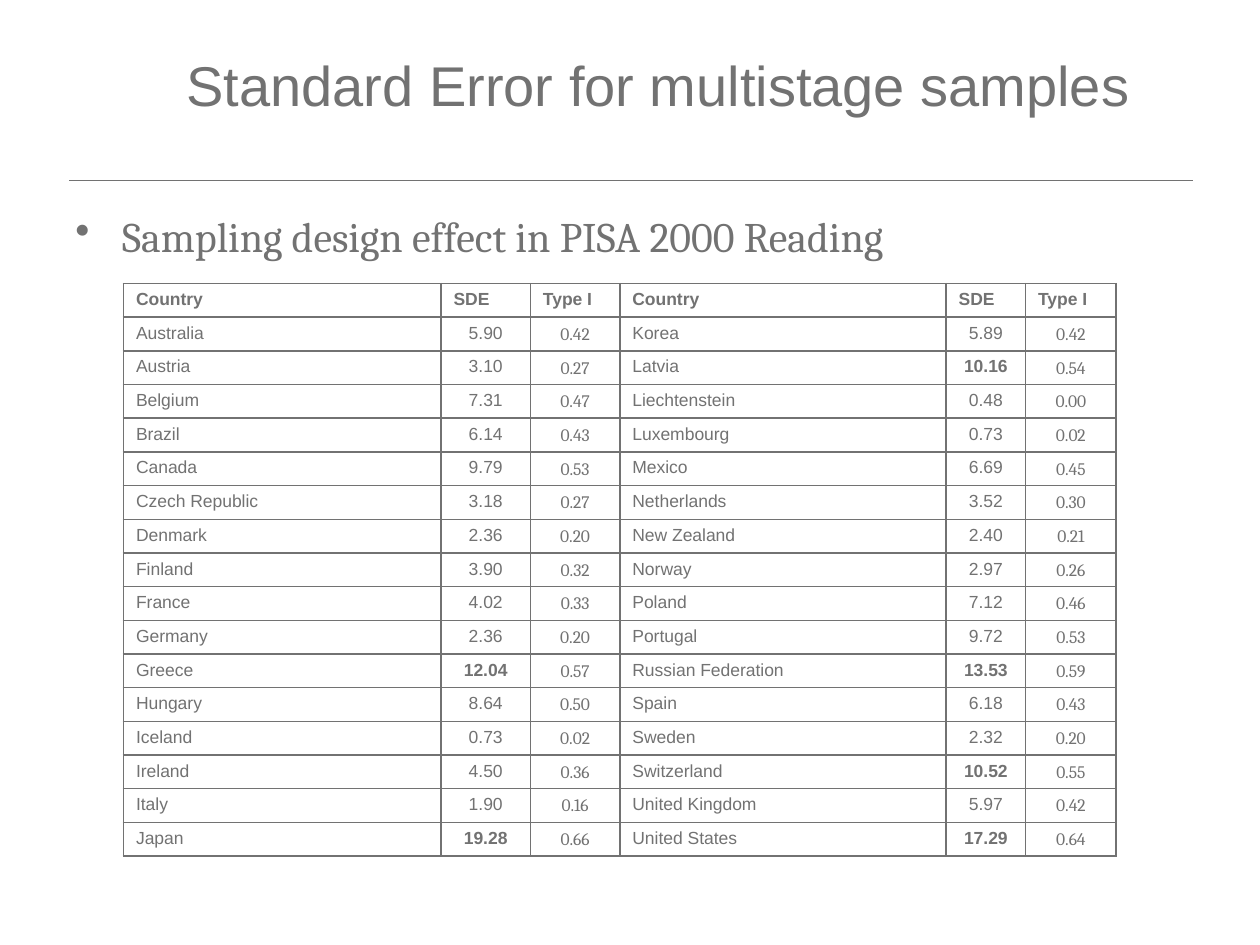
from typing import NamedTuple

from lxml import etree
from pptx import Presentation
from pptx.dml.color import RGBColor
from pptx.enum.shapes import MSO_CONNECTOR
from pptx.enum.text import MSO_ANCHOR, MSO_AUTO_SIZE, PP_ALIGN
from pptx.oxml.ns import qn
from pptx.util import Inches, Pt

LEFT, CENTER = PP_ALIGN.LEFT, PP_ALIGN.CENTER
TOP, MIDDLE = MSO_ANCHOR.TOP, MSO_ANCHOR.MIDDLE
STRAIGHT = MSO_CONNECTOR.STRAIGHT
NO_AUTOFIT = MSO_AUTO_SIZE.NONE

GREY = "727272"
SANS, SERIF = "Arial", "Cambria"
TITLE_ONLY_LAYOUT = 5
LARGE_EFFECT = 10  # design effects above this are bold


class Effect(NamedTuple):
    country: str
    design_effect: float
    type_one: float


HEADERS = ("Country", "SDE", "Type I")
COLUMN_WIDTHS = (2.52, 0.71, 0.71, 2.59, 0.63, 0.72)
TABLE_HEIGHT = 4.55

LEFT_EFFECTS = [
    Effect("Australia", 5.90, 0.42),
    Effect("Austria", 3.10, 0.27),
    Effect("Belgium", 7.31, 0.47),
    Effect("Brazil", 6.14, 0.43),
    Effect("Canada", 9.79, 0.53),
    Effect("Czech Republic", 3.18, 0.27),
    Effect("Denmark", 2.36, 0.20),
    Effect("Finland", 3.90, 0.32),
    Effect("France", 4.02, 0.33),
    Effect("Germany", 2.36, 0.20),
    Effect("Greece", 12.04, 0.57),
    Effect("Hungary", 8.64, 0.50),
    Effect("Iceland", 0.73, 0.02),
    Effect("Ireland", 4.50, 0.36),
    Effect("Italy", 1.90, 0.16),
    Effect("Japan", 19.28, 0.66),
]
RIGHT_EFFECTS = [
    Effect("Korea", 5.89, 0.42),
    Effect("Latvia", 10.16, 0.54),
    Effect("Liechtenstein", 0.48, 0.00),
    Effect("Luxembourg", 0.73, 0.02),
    Effect("Mexico", 6.69, 0.45),
    Effect("Netherlands", 3.52, 0.30),
    Effect("New Zealand", 2.40, 0.21),
    Effect("Norway", 2.97, 0.26),
    Effect("Poland", 7.12, 0.46),
    Effect("Portugal", 9.72, 0.53),
    Effect("Russian Federation", 13.53, 0.59),
    Effect("Spain", 6.18, 0.43),
    Effect("Sweden", 2.32, 0.20),
    Effect("Switzerland", 10.52, 0.55),
    Effect("United Kingdom", 5.97, 0.42),
    Effect("United States", 17.29, 0.64),
]


def color(value: str) -> RGBColor:
    return RGBColor.from_string(value)


def write(text_frame, text: str, size: float, font: str, bold: bool = False, align=LEFT):
    """Put one formatted paragraph in a text frame and return it."""
    paragraph = text_frame.paragraphs[0]
    paragraph.text = text
    paragraph.alignment = align
    paragraph.font.size = Pt(size)
    paragraph.font.name = font
    paragraph.font.bold = bold
    paragraph.font.color.rgb = color(GREY)
    return paragraph


def add_title(slide, text: str) -> None:
    title = slide.shapes.title
    title.left, title.top = Inches(1.38), Inches(0.27)
    title.width, title.height = Inches(7.98), Inches(0.8)
    title.text_frame.vertical_anchor = MIDDLE
    title.text_frame.auto_size = NO_AUTOFIT
    write(title.text_frame, text, 32, SANS)


def add_rule(slide) -> None:
    rule = slide.shapes.add_connector(
        STRAIGHT, Inches(0.55), Inches(1.43), Inches(9.47), Inches(1.43))
    rule.line.color.rgb = color(GREY)
    rule.line.width = Pt(0.5)
    etree.SubElement(rule._element.spPr, qn("a:effectLst"))


def add_bullet_text(slide, text: str) -> None:
    box = slide.shapes.add_textbox(Inches(0.5), Inches(1.62), Inches(9.22), Inches(0.63))
    box.text_frame.word_wrap = True
    paragraph = write(box.text_frame, text, 24, SERIF)
    paragraph.space_before = Pt(7.6)
    properties = paragraph._p.get_or_add_pPr()
    properties.set("marL", str(Inches(0.37)))
    properties.set("indent", str(-Inches(0.37)))
    bullet = etree.Element(qn("a:buChar"), char="•")
    properties.find(qn("a:spcBef")).addnext(bullet)


def style_cell(cell) -> None:
    """Clear the fill and draw thin borders on all four sides."""
    properties = cell._tc.get_or_add_tcPr()
    for side in ("lnL", "lnR", "lnT", "lnB"):
        line = etree.SubElement(properties, qn(f"a:{side}"), w=str(Pt(1)))
        fill = etree.SubElement(line, qn("a:solidFill"))
        etree.SubElement(fill, qn("a:srgbClr"), val=GREY)
    cell.fill.background()


def fill_effect(table, row: int, first_column: int, effect: Effect) -> None:
    country, design_effect, type_one = (
        table.cell(row, first_column + offset) for offset in range(len(HEADERS)))
    write(country.text_frame, effect.country, 10, SANS)
    write(design_effect.text_frame, f"{effect.design_effect:.2f}", 10, SANS,
          effect.design_effect > LARGE_EFFECT, CENTER)
    write(type_one.text_frame, f"{effect.type_one:.2f}", 10, SERIF, align=CENTER)
    type_one.vertical_anchor = MIDDLE
    type_one.margin_left = type_one.margin_right = type_one.margin_top = Inches(0.01)
    type_one.margin_bottom = 0


def add_effect_table(slide) -> None:
    row_count = len(LEFT_EFFECTS) + 1
    table = slide.shapes.add_table(
        row_count, len(COLUMN_WIDTHS), Inches(0.98), Inches(2.25),
        Inches(sum(COLUMN_WIDTHS)), Inches(TABLE_HEIGHT)).table
    table.horz_banding = False
    table.first_row = False
    for column, width in zip(table.columns, COLUMN_WIDTHS):
        column.width = Inches(width)
    for row in table.rows:
        row.height = Inches(TABLE_HEIGHT / row_count)
    for cell in table.iter_cells():
        style_cell(cell)

    # Two side-by-side halves with the same three columns
    for half, effects in enumerate((LEFT_EFFECTS, RIGHT_EFFECTS)):
        first_column = half * len(HEADERS)
        for offset, header in enumerate(HEADERS):
            write(table.cell(0, first_column + offset).text_frame, header, 10, SANS, True)
        for row, effect in enumerate(effects, start=1):
            fill_effect(table, row, first_column, effect)


def main() -> None:
    presentation = Presentation()
    presentation.slide_width = Inches(10)
    presentation.slide_height = Inches(7.5)
    slide = presentation.slides.add_slide(presentation.slide_layouts[TITLE_ONLY_LAYOUT])

    # Heading
    add_rule(slide)
    add_title(slide, "Standard Error for multistage samples")

    # Content
    add_bullet_text(slide, "Sampling design effect in PISA 2000 Reading")
    add_effect_table(slide)
    presentation.save("out.pptx")


if __name__ == "__main__":
    main()
